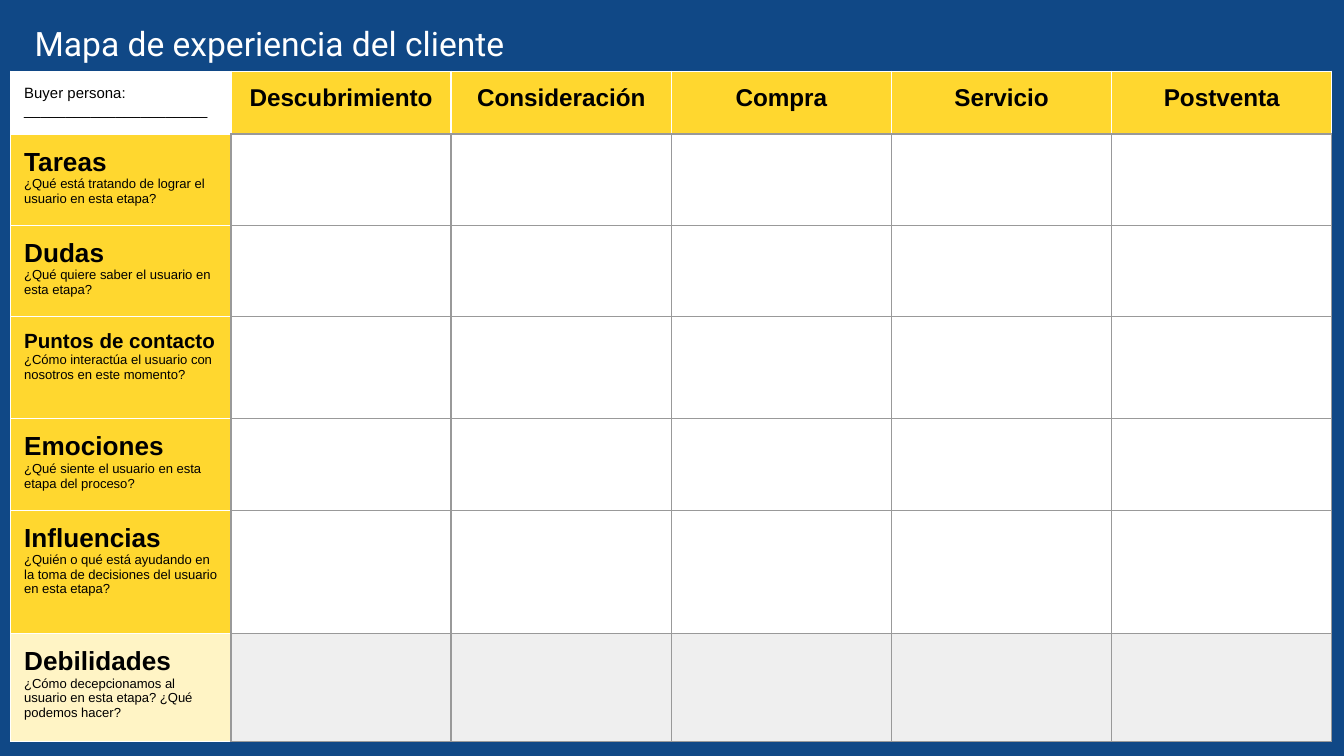
from lxml import etree
from pptx import Presentation
from pptx.dml.color import RGBColor
from pptx.enum.text import MSO_ANCHOR, PP_ALIGN
from pptx.oxml.ns import qn
from pptx.util import Inches, Pt

LEFT, CENTER = PP_ALIGN.LEFT, PP_ALIGN.CENTER
MIDDLE = MSO_ANCHOR.MIDDLE

BLUE, YELLOW, CREAM = "104886", "FFD72F", "FFF4C5"
WHITE, BLACK, PALE_GRAY, LINE_GRAY = "FFFFFF", "000000", "EFEFEF", "999999"

TITLE = "Mapa de experiencia del cliente"
PERSONA = ["Buyer persona:", "______________________"]
STAGES = ["Descubrimiento", "Consideración", "Compra", "Servicio", "Postventa"]
# name, name size, question, row height, label fill, cell fill
ASPECTS = [
    ("Tareas", 14, "¿Qué está tratando de lograr el usuario en esta etapa?", 0.68, YELLOW, WHITE),
    ("Dudas", 14, "¿Qué quiere saber el usuario en esta etapa?", 0.68, YELLOW, WHITE),
    ("Puntos de contacto", 11, "¿Cómo interactúa el usuario con nosotros en este momento?",
     0.76, YELLOW, WHITE),
    ("Emociones", 14, "¿Qué siente el usuario en esta etapa del proceso?", 0.68, YELLOW, WHITE),
    ("Influencias", 14,
     "¿Quién o qué está ayudando en la toma de decisiones del usuario en esta etapa?",
     0.92, YELLOW, WHITE),
    ("Debilidades", 14, "¿Cómo decepcionamos al usuario en esta etapa? ¿Qué podemos hacer?",
     0.8, CREAM, PALE_GRAY),
]
HEADER_HEIGHT = 0.31  # grows to fit its two lines
MAP_LEFT, MAP_TOP, MAP_WIDTH, MAP_HEIGHT = 0.08, 0.53, 9.83, 4.98
MARGIN = Inches(0.1)


def color(value):
    return RGBColor.from_string(value)


def set_margins(target):
    target.margin_left = target.margin_right = MARGIN
    target.margin_top = target.margin_bottom = MARGIN


def write(text_frame, lines, alignment=LEFT, font_name="Arial", font_color=BLACK):
    """Write one paragraph for each (text, size, bold) line."""
    for index, (text, size, bold) in enumerate(lines):
        paragraph = text_frame.paragraphs[0] if index == 0 else text_frame.add_paragraph()
        paragraph.alignment = alignment
        run = paragraph.add_run()
        run.text = text
        run.font.name = font_name
        run.font.size = Pt(size)
        run.font.bold = bold
        run.font.color.rgb = color(font_color)


def style_cell(cell, fill, left=LINE_GRAY, right=LINE_GRAY, top=LINE_GRAY, bottom=LINE_GRAY):
    """Set the margins, the fill and the four border colors."""
    set_margins(cell)
    cell.fill.solid()
    cell.fill.fore_color.rgb = color(fill)
    properties = cell._tc.get_or_add_tcPr()
    borders = [("a:lnL", left), ("a:lnR", right), ("a:lnT", top), ("a:lnB", bottom)]
    for position, (tag, border_color) in enumerate(borders):
        line = etree.Element(qn(tag), w=str(Pt(0.75)))
        solid = etree.SubElement(line, qn("a:solidFill"))
        etree.SubElement(solid, qn("a:srgbClr"), val=border_color)
        properties.insert(position, line)


def add_title(slide):
    box = slide.shapes.add_textbox(Inches(0.16), Inches(0.12), Inches(4), Inches(0.4))
    frame = box.text_frame
    frame.word_wrap = True
    frame.vertical_anchor = MIDDLE
    set_margins(frame)
    write(frame, [(TITLE, 18, False)], font_name="Roboto", font_color=WHITE)


def add_map(slide):
    heights = [HEADER_HEIGHT] + [aspect[3] for aspect in ASPECTS]
    column_count = len(STAGES) + 1
    shape = slide.shapes.add_table(
        len(heights), column_count, Inches(MAP_LEFT), Inches(MAP_TOP),
        Inches(MAP_WIDTH), Inches(MAP_HEIGHT))
    table = shape.table
    table.first_row = table.horz_banding = False
    for row, height in zip(table.rows, heights):
        row.height = Inches(height)
    shape.height = Inches(MAP_HEIGHT)

    corner = table.cell(0, 0)
    style_cell(corner, WHITE, WHITE, WHITE, WHITE, WHITE)
    write(corner.text_frame, [(text, 8, False) for text in PERSONA])

    for column, stage in enumerate(STAGES, 1):
        header = table.cell(0, column)
        style_cell(header, YELLOW, left=WHITE, right=WHITE, top=WHITE)
        write(header.text_frame, [(stage, 13, True)], CENTER)

    for row, (name, size, question, _, label_fill, cell_fill) in enumerate(ASPECTS, 1):
        label = table.cell(row, 0)
        style_cell(label, label_fill, left=WHITE, top=WHITE, bottom=WHITE)
        write(label.text_frame, [(name, size, True), (question, 7, False)])
        for column in range(1, column_count):
            style_cell(table.cell(row, column), cell_fill)


def main():
    presentation = Presentation()
    presentation.slide_width = Inches(10)
    presentation.slide_height = Inches(10) * 9 // 16
    slide = presentation.slides.add_slide(presentation.slide_layouts[6])
    slide.background.fill.solid()
    slide.background.fill.fore_color.rgb = color(BLUE)
    add_title(slide)
    add_map(slide)
    presentation.save("out.pptx")


if __name__ == "__main__":
    main()
